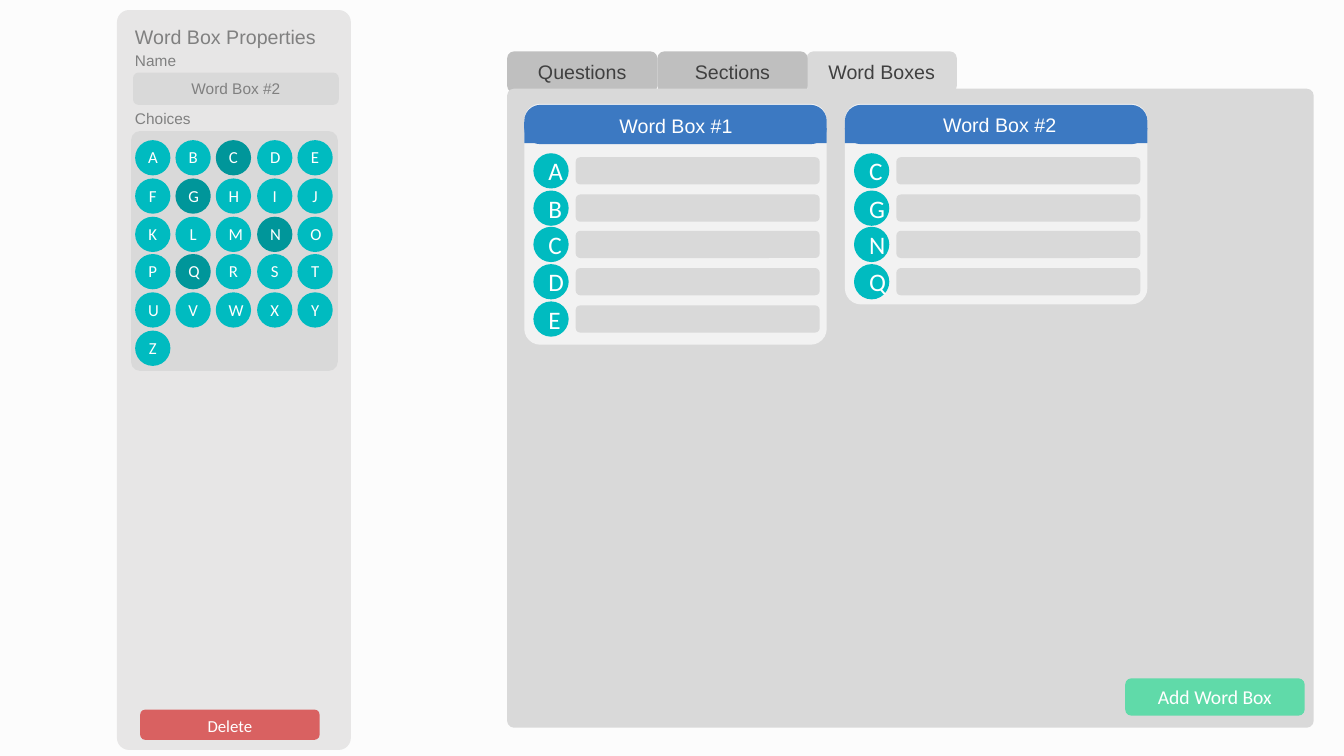
from pptx import Presentation
from pptx.dml.color import RGBColor
from pptx.enum.shapes import MSO_SHAPE as SHAPE
from pptx.enum.text import MSO_ANCHOR as ANCHOR, MSO_AUTO_SIZE as AUTO, PP_ALIGN as ALIGN
from pptx.util import Emu, Pt

PX = 9144  # 100 px to the inch
WHITE, GREY, DARK = "FFFFFF", "808080", "404040"
PANEL, TAB, CARD, SIDEBAR = "D9D9D9", "BFBFBF", "F2F2F2", "E7E6E6"
BLUE, TEAL, PICKED, GREEN, RED = "3C79C2", "00BBC0", "00969A", "60DAA9", "D96161"


def px(n):
    return Emu(n * PX)


def rgb(code):
    return RGBColor.from_string(code)


def write(sp, text, size=14, font="Arial", color=WHITE, align=ALIGN.CENTER,
          anchor=ANCHOR.TOP, grow=True):
    tf = sp.text_frame
    tf.word_wrap = True
    tf.vertical_anchor = anchor
    tf.auto_size = AUTO.SHAPE_TO_FIT_TEXT if grow else AUTO.NONE
    p = tf.paragraphs[0]
    p.alignment = align
    r = p.add_run()
    r.text = text
    r.font.size = Pt(size)
    r.font.name = font
    r.font.color.rgb = rgb(color)


def shape(shapes, kind, x, y, w, h, fill, radius=None):
    sp = shapes.add_shape(kind, px(x), px(y), px(w), px(h))
    sp.shadow.inherit = False
    sp.fill.solid()
    sp.fill.fore_color.rgb = rgb(fill)
    sp.line.fill.background()
    if radius:
        sp.adjustments[0] = radius / min(w, h)
    return sp


def rounded(shapes, x, y, w, h, fill, radius=None):
    return shape(shapes, SHAPE.ROUNDED_RECTANGLE, x, y, w, h, fill, radius)


def circle(shapes, x, y, fill):
    return shape(shapes, SHAPE.OVAL, x, y, 35, 35, fill)


def label(shapes, x, y, w, h, text, **fmt):
    write(shapes.add_textbox(px(x), px(y), px(w), px(h)), text, **fmt)


def tab(shapes, x, text, fill):
    sp = rounded(shapes, x, 51, 149, 41, fill)
    write(sp, text, color=DARK, anchor=ANCHOR.MIDDLE, grow=False)


def word_box(shapes, x, title, title_x, title_y, letters):
    rounded(shapes, x, 103, 300, 40 * len(letters) + 39, CARD, radius=16)
    rounded(shapes, x, 104, 300, 39, BLUE, radius=16)
    shape(shapes, SHAPE.RECTANGLE, x, 127, 300, 15, BLUE)
    for i, letter in enumerate(letters):
        y = 152 + round(36.7 * i)
        write(circle(shapes, x + 9, y, TEAL), letter, size=18, font="Calibri",
              anchor=ANCHOR.MIDDLE, grow=False)
        rounded(shapes, x + 51, y + 4, 242, 27, PANEL)
    label(shapes, title_x, title_y, 229, 34, title)


def choices(shapes, picked):
    rounded(shapes, 130, 130, 205, 238, PANEL, radius=9)
    for i, letter in enumerate("ABCDEFGHIJKLMNOPQRSTUVWXYZ"):
        row, col = divmod(i, 5)
        x, y = 134 + round(40.2 * col), 139 + round(37.8 * row)
        circle(shapes, x, y, PICKED if letter in picked else TEAL)
        label(shapes, x + 3, y + 2, 29, 30, letter, size=12, font="Calibri")


def main():
    prs = Presentation()
    prs.slide_width, prs.slide_height = px(1333), px(750)
    s = prs.slides.add_slide(prs.slide_layouts[6])
    s.background.fill.solid()
    s.background.fill.fore_color.rgb = rgb("FCFCFC")
    shapes = s.shapes

    # Tabs and main panel
    tab(shapes, 800, "Word Boxes", PANEL)
    tab(shapes, 652, "Sections", TAB)
    tab(shapes, 503, "Questions", TAB)
    rounded(shapes, 503, 88, 800, 634, PANEL, radius=7)
    write(rounded(shapes, 1116, 673, 178, 37, GREEN), "Add Word Box", font="Calibri")

    # Word boxes
    picked = "CGNQ"
    word_box(shapes.add_group_shape().shapes, 520, "Word Box #1", 556, 108, "ABCDE")
    word_box(shapes.add_group_shape().shapes, 838, "Word Box #2", 877, 107, picked)

    # Properties sidebar
    rounded(shapes, 116, 10, 232, 734, SIDEBAR, radius=12)
    label(shapes, 124, 20, 202, 34, "Word Box Properties", color=GREY, align=ALIGN.LEFT)
    choices(shapes.add_group_shape().shapes, picked)
    write(rounded(shapes, 139, 704, 178, 30, RED), "Delete", size=12, font="Calibri")
    write(rounded(shapes, 132, 72, 204, 32, PANEL), "Word Box #2", size=11, color=GREY)
    for y, text in ((46, "Name"), (103, "Choices")):
        label(shapes, 124, y, 219, 29, text, size=11, color=GREY, align=ALIGN.LEFT)

    prs.save("out.pptx")


if __name__ == "__main__":
    main()
